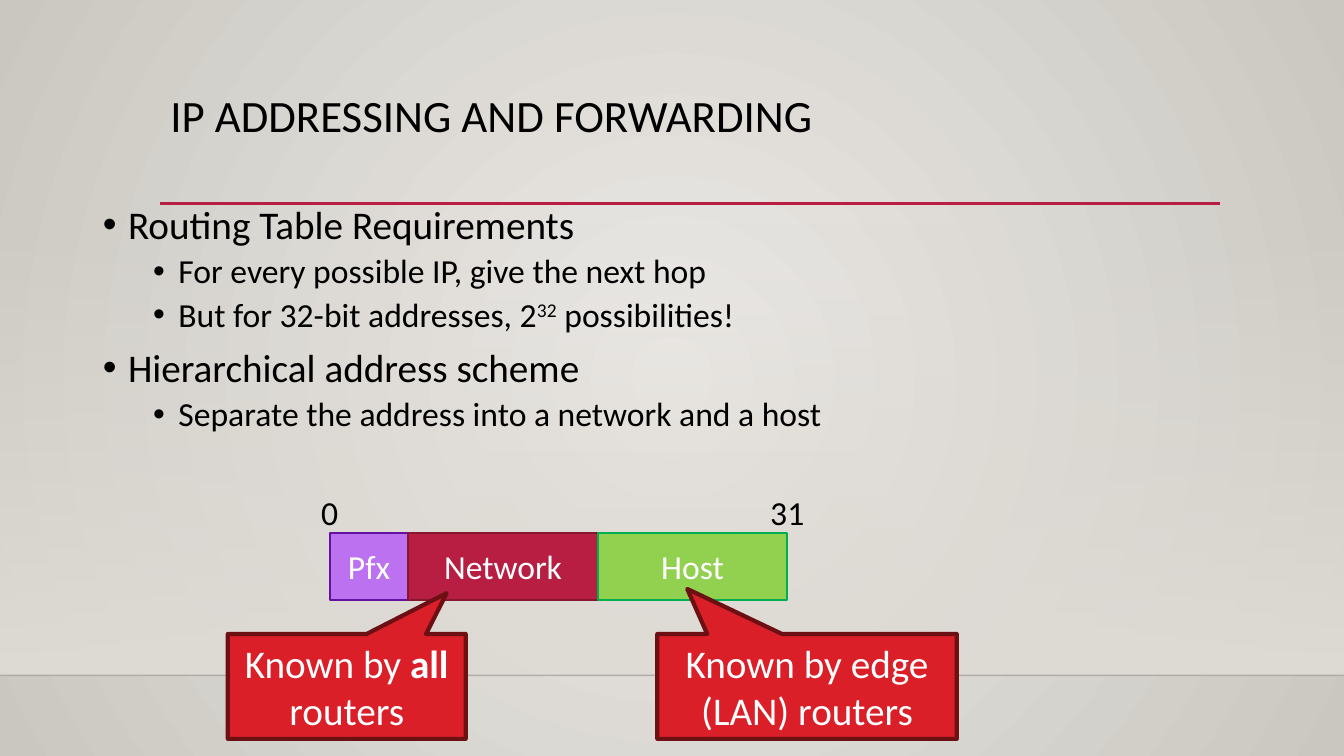
from lxml import etree
from pptx import Presentation
from pptx.dml.color import RGBColor
from pptx.enum.shapes import MSO_CONNECTOR, MSO_SHAPE
from pptx.enum.text import MSO_ANCHOR, MSO_AUTO_SIZE, PP_ALIGN
from pptx.oxml import parse_xml
from pptx.oxml.ns import nsdecls, qn
from pptx.util import Inches, Pt

RECTANGLE, CALLOUT = MSO_SHAPE.RECTANGLE, MSO_SHAPE.RECTANGULAR_CALLOUT
STRAIGHT = MSO_CONNECTOR.STRAIGHT
TOP, MIDDLE = MSO_ANCHOR.TOP, MSO_ANCHOR.MIDDLE
LEFT, CENTER = PP_ALIGN.LEFT, PP_ALIGN.CENTER
FIXED_SIZE = MSO_AUTO_SIZE.NONE

COLORS = {
    "black": "000000", "white": "FFFFFF", "horizon": "000001",
    "glow": "ECEAE7", "edge": "CAC7C1", "wall": "DFDBD5",
    "crimson": "B71E42", "crimson line": "871631",
    "purple": "BC72F0", "purple line": "6511A0",
    "green": "92D050", "green line": "00B050",
    "red": "DA1F28", "red line": "6D1014",
}
RADIAL = ('<a:path path="circle">'
          '<a:fillToRect l="50000" t="50000" r="50000" b="50000"/></a:path>')
DOWNWARD = '<a:lin ang="5400000" scaled="0"/>'


class Slide:
    """Draws on one page; lengths are percentages of its width and height."""

    font = "Calibri"

    def __init__(self, deck):
        self.width, self.height = deck.slide_width, deck.slide_height
        self.page = deck.slides.add_slide(deck.slide_layouts[1])

    def across(self, share):
        return round(self.width * share / 100)

    def down(self, share):
        return round(self.height * share / 100)

    def area(self, left, top, width, height):
        return self.across(left), self.down(top), self.across(width), self.down(height)

    def color(self, name):
        return RGBColor.from_string(COLORS[name])

    def gradient(self, fill_owner, stops, direction):
        """Replace the owner's gradient; stops are (position, color, opacity)."""
        marks = "".join(
            f'<a:gs pos="{position * 1000}"><a:srgbClr val="{COLORS[name]}">'
            f'<a:alpha val="{opacity * 1000}"/></a:srgbClr></a:gs>'
            for position, name, opacity in stops)
        current = fill_owner.find(".//" + qn("a:gradFill"))
        current.getparent().replace(current, parse_xml(
            f'<a:gradFill {nsdecls("a")} rotWithShape="1">'
            f'<a:gsLst>{marks}</a:gsLst>{direction}</a:gradFill>'))

    def background(self, stops):
        self.page.background.fill.gradient()
        self.gradient(self.page._element, stops, RADIAL)

    def panel(self, area, stops):
        box = self.page.shapes.add_shape(RECTANGLE, *self.area(*area))
        box.shadow.inherit = False
        box.line.fill.background()
        box.fill.gradient()
        self.gradient(box._element, stops, DOWNWARD)

    def rule(self, left, right, top, color, weight, opacity=100):
        line = self.page.shapes.add_connector(
            STRAIGHT, self.across(left), self.down(top), self.across(right), self.down(top))
        line.line.color.rgb = self.color(color)
        line.line.width = Pt(weight)
        shade = line._element.find(".//" + qn("a:srgbClr"))
        etree.SubElement(shade, qn("a:alpha"), val=str(opacity * 1000))
        etree.SubElement(line._element.spPr, qn("a:effectLst"))

    def add_spans(self, para, spans, size, color="black", align=CENTER):
        """Fill a paragraph; a span is text or (text, {font attribute: value})."""
        para.alignment = align
        for part in spans:
            text, marks = (part, {}) if isinstance(part, str) else part
            span = para.add_run()
            span.text = text
            span.font.name, span.font.size = self.font, Pt(size)
            span.font.color.rgb = self.color(color)
            span.font.bold = marks.get("bold", False)
            if "raised" in marks:
                span.font._element.set("baseline", str(marks["raised"] * 1000))

    def frame(self, box, anchor):
        frame = box.text_frame
        frame.word_wrap, frame.auto_size = True, FIXED_SIZE
        frame.vertical_anchor = anchor
        return frame

    def placeholder(self, index, area):
        """Move a template placeholder into place, in front of the scenery."""
        box = self.page.placeholders[index]
        box.left, box.top, box.width, box.height = self.area(*area)
        self.page.shapes._spTree.append(box._element)
        return self.frame(box, TOP)

    def title(self, area, text):
        para = self.placeholder(0, area).paragraphs[0]
        para.line_spacing = 0.9
        self.add_spans(para, [text], 32, align=LEFT)

    def bullets(self, area, items):
        frame = self.placeholder(1, area)
        for number, (level, spans) in enumerate(items):
            para = frame.add_paragraph() if number else frame.paragraphs[0]
            para.level = level
            para.line_spacing = 0.9
            para.space_before = Pt(5 if level else 10)
            self.add_spans(para, spans, 24 if level else 28, align=LEFT)
            layout = para._p.get_or_add_pPr()
            layout.set("marL", str(Inches(0.25 + 0.5 * level)))
            layout.set("indent", str(-Inches(0.25)))
            etree.SubElement(layout, qn("a:buFont"), typeface="Arial")
            etree.SubElement(layout, qn("a:buChar"), char="•")

    def shape(self, kind, area, color, weight, spans, size, anchor=MIDDLE):
        box = self.page.shapes.add_shape(kind, *self.area(*area))
        box.shadow.inherit = False
        box.fill.solid()
        box.fill.fore_color.rgb = self.color(color)
        box.line.color.rgb = self.color(color + " line")
        box.line.width = Pt(weight)
        self.add_spans(self.frame(box, anchor).paragraphs[0], spans, size, "white")
        return box

    def callout(self, area, tip, spans):
        box = self.shape(CALLOUT, area, "red", 3, spans, 28, TOP)
        box.adjustments[0], box.adjustments[1] = tip

    def label(self, area, text):
        box = self.page.shapes.add_textbox(*self.area(*area))
        self.add_spans(self.frame(box, MIDDLE).paragraphs[0], [text], 24)


def main():
    deck = Presentation()
    deck.slide_width, deck.slide_height = Inches(13.33), Inches(7.5)
    slide = Slide(deck)

    # Scenery: wall, horizon and title rule
    slide.background([(0, "glow", 100), (100, "edge", 100)])
    slide.panel((0, 29.47, 100, 59.87), [(0, "wall", 0), (100, "wall", 100)])
    slide.rule(0, 100, 89.33, "horizon", 1, opacity=20)
    slide.rule(11.93, 90.77, 26.93, "crimson", 2.5)

    # Title and list
    slide.title((11.93, 11.73, 78.77, 15.33), "IP ADDRESSING AND FORWARDING")
    slide.bullets((6.9, 26.53, 72.54, 39.6), [
        (0, ["Routing Table Requirements"]),
        (1, ["For every possible IP, give the next hop"]),
        (1, ["But for 32-bit addresses, 2", ("32", {"raised": 30}), " possibilities!"]),
        (0, ["Hierarchical address scheme"]),
        (1, ["Separate the address into a network and a host"]),
    ])

    # Address fields, side by side, with bit numbers centred over both ends
    start = edge = 24.53
    for name, width, color in [("Pfx", 5.85, "purple"), ("Network", 14.1, "crimson"),
                               ("Host", 14.1, "green")]:
        slide.shape(RECTANGLE, (edge, 70.53, width, 8.8), color, 1.25, [name], 24)
        edge += width
    label_width = 4.88
    for bit, center in [("0", start), ("31", edge)]:
        slide.label((center - label_width / 2, 63.33, label_width, 8.8), bit)

    # Who knows each field
    slide.callout((16.95, 83.87, 17.7, 13.87), (0.42, -0.89),
                  ["Known by ", ("all", {"bold": True}), " routers"])
    slide.callout((48.91, 83.87, 22.28, 13.87), (-0.4, -0.93),
                  ["Known by edge (LAN) routers"])

    deck.save("out.pptx")


if __name__ == "__main__":
    main()
